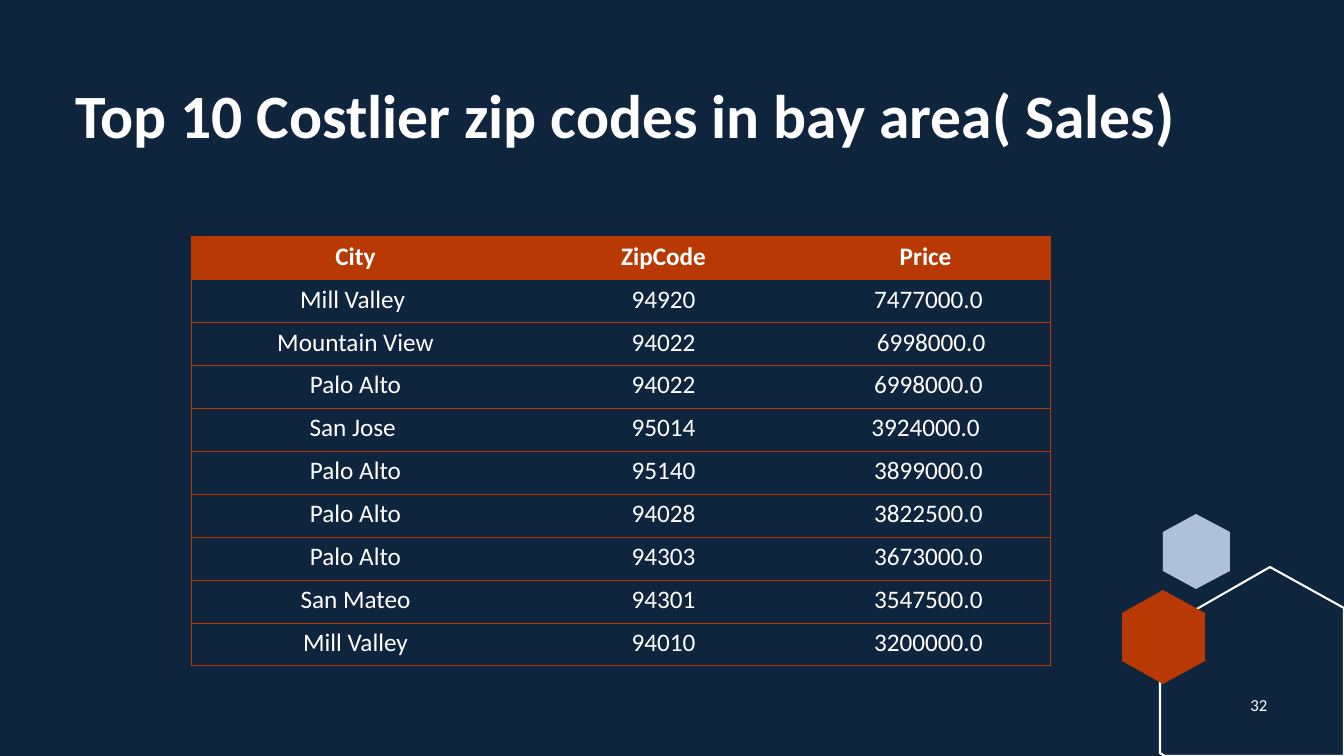
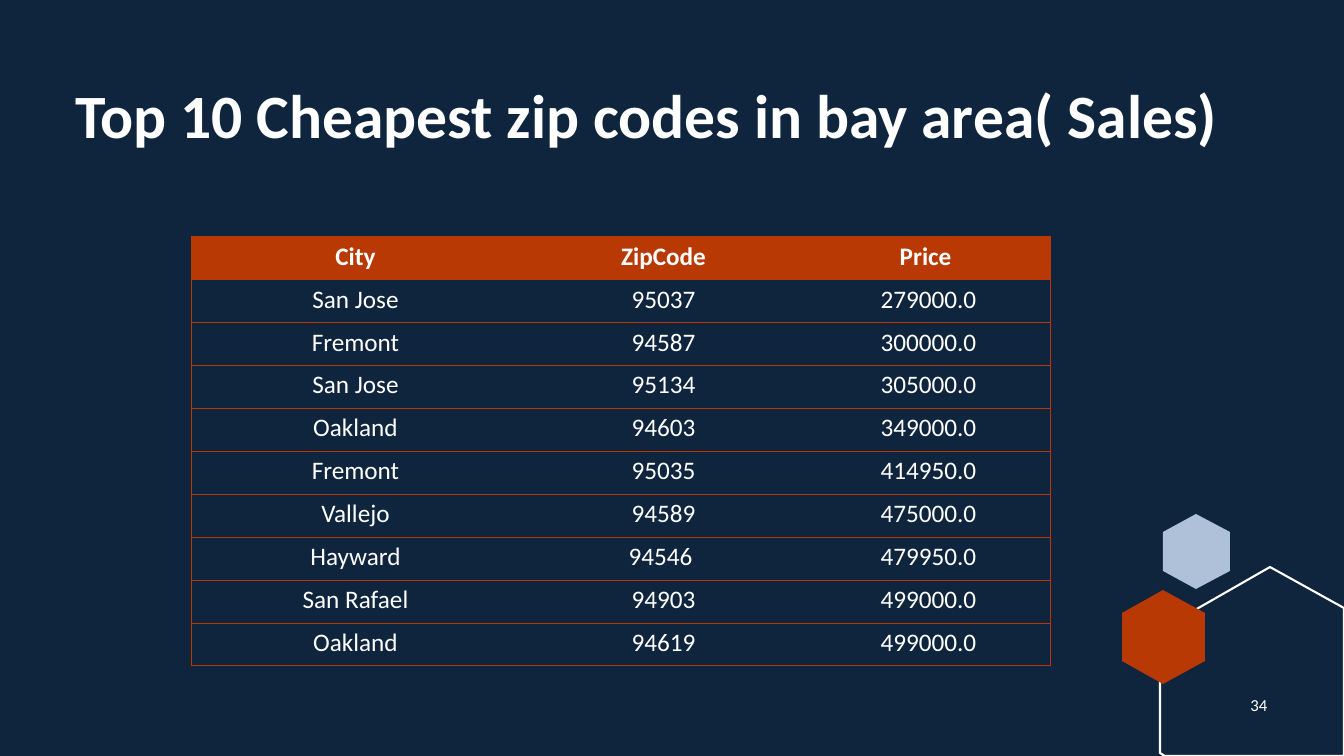
"""Build two slides that rank bay area zip codes by sale price."""
from collections import namedtuple

from lxml.etree import SubElement
from pptx import Presentation
from pptx.dml.color import RGBColor
from pptx.enum.text import MSO_ANCHOR as Anchor, MSO_AUTO_SIZE as AutoSize, PP_ALIGN as Align
from pptx.oxml.ns import qn
from pptx.util import Emu, Pt

Box = namedtuple("Box", "left top width height")

EMU_PER_PX = 12192000 / 1344
FONT = "Calibri"
COLORS = {"navy": "0F253E", "rust": "B83903", "mist": "AEC1D8", "white": "FFFFFF"}

SLIDE = Box(0, 0, 1344, 756)
TITLE = Box(65, 80, 1200, 156)
RANKING = Box(191, 236, 859, 430)
HEXAGONS = Box(1122, 514, 222, 242)
NUMBER = Box(1234, 685, 50, 40)

COLUMN_WIDTHS = (329, 287, 243)
HEADER = ("City", "ZipCode", "Price ")

COSTLIEST = (
    ("Mill Valley ", "94920", "7477000.0"),
    ("Mountain View", "94022", " 6998000.0"),
    ("Palo Alto", "94022", "6998000.0"),
    ("San Jose ", "95014", "3924000.0 "),
    ("Palo Alto", "95140", "3899000.0"),
    ("Palo Alto", "94028", "3822500.0"),
    ("Palo Alto", "94303", "3673000.0"),
    ("San Mateo", "94301", "3547500.0"),
    ("Mill Valley", "94010", "3200000.0"),
)
CHEAPEST = (
    ("San Jose", "95037", "279000.0"),
    ("Fremont", "94587", "300000.0"),
    ("San Jose", "95134", "305000.0"),
    ("Oakland", "94603", "349000.0"),
    ("Fremont", "95035", "414950.0"),
    ("Vallejo", "94589", "475000.0"),
    ("Hayward", "94546 ", "479950.0"),
    ("San Rafael", "94903", "499000.0"),
    ("Oakland", "94619", "499000.0"),
)
PAGES = (
    ("Top 10 Costlier zip codes in bay area( Sales)", COSTLIEST, "32"),
    ("Top 10 Cheapest zip codes in bay area( Sales)", CHEAPEST, "34"),
)


def px(length):
    """Turn pixels into EMU."""
    return Emu(round(length * EMU_PER_PX))


def emu_box(box):
    """Turn a pixel box into EMU lengths."""
    return [px(length) for length in box]


def color(name):
    """Look up a palette colour."""
    return RGBColor.from_string(COLORS[name])


def write(frame, text, size, bold=False, align=Align.LEFT):
    """Put one white run into the first paragraph of a text frame."""
    paragraph = frame.paragraphs[0]
    paragraph.alignment = align
    run = paragraph.add_run()
    run.text = text
    run.font.name = FONT
    run.font.size = Pt(size)
    run.font.bold = bold
    run.font.color.rgb = color("white")
    return paragraph


def add_title(slide, box, text):
    """Place and format the title placeholder."""
    title = slide.shapes.title
    title.left, title.top, title.width, title.height = emu_box(box)
    frame = title.text_frame
    frame.word_wrap = True
    frame.auto_size = AutoSize.NONE
    frame.vertical_anchor = Anchor.TOP
    write(frame, text, 44, bold=True).line_spacing = 0.9


def add_outline(slide, left, top, corners, fill=None):
    """Draw a closed outline, filled or with a white line."""
    builder = slide.shapes.build_freeform(*corners[0], scale=EMU_PER_PX)
    builder.add_line_segments(corners[1:], close=True)
    outline = builder.convert_to_shape(px(left), px(top))
    outline.shadow.inherit = False
    if fill:
        outline.fill.solid()
        outline.fill.fore_color.rgb = color(fill)
        outline.line.fill.background()
    else:
        outline.fill.background()
        outline.line.color.rgb = color("white")
        outline.line.width = Pt(1.5)


def hexagon(width, height):
    """Return the corners of an upright hexagon."""
    middle, upper, lower = width // 2, height // 4, height - height // 4
    return [(middle, 0), (width, upper), (width, lower),
            (middle, height), (0, lower), (0, upper)]


def add_hexagons(slide, box):
    """Draw the corner cluster of three hexagons."""
    cropped = [(110, 0), (184, 41), (184, 189), (5, 189), (0, 186), (0, 63)]
    add_outline(slide, box.left + 41, box.top, hexagon(67, 75), "mist")
    add_outline(slide, box.left + 38, box.top + 53, cropped)
    add_outline(slide, box.left, box.top + 76, hexagon(83, 94), "rust")


def set_borders(cell, visible):
    """Rule the named sides of a cell and clear the others."""
    properties = cell._tc.get_or_add_tcPr()
    for position, side in enumerate("LRTB"):
        line = SubElement(properties, qn(f"a:ln{side}"), w=str(Pt(0.5)))
        properties.insert(position, line)
        if side in visible:
            solid = SubElement(line, qn("a:solidFill"))
            SubElement(solid, qn("a:srgbClr"), val=COLORS["rust"])
        else:
            SubElement(line, qn("a:noFill"))


def add_ranking(slide, box, records):
    """Build the ruled table of cities, zip codes and prices."""
    rows = (HEADER, *records)
    last = len(HEADER) - 1
    table = slide.shapes.add_table(len(rows), len(HEADER), *emu_box(box)).table
    for column, width in zip(table.columns, COLUMN_WIDTHS):
        column.width = px(width)
    for row_index, values in enumerate(rows):
        table.rows[row_index].height = px(box.height / len(rows))
        is_header = row_index == 0
        for column_index, value in enumerate(values):
            cell = table.cell(row_index, column_index)
            if is_header:
                cell.fill.solid()
                cell.fill.fore_color.rgb = color("rust")
            else:
                cell.fill.background()
            sides = "TB" + "L" * (column_index == 0) + "R" * (column_index == last)
            set_borders(cell, sides)
            write(cell.text_frame, value, 18, is_header, Align.CENTER)


def add_number(slide, box, number):
    """Write the page number."""
    frame = slide.shapes.add_textbox(*emu_box(box)).text_frame
    frame.word_wrap = True
    frame.vertical_anchor = Anchor.MIDDLE
    write(frame, number, 12, align=Align.CENTER)


def add_ranking_slide(deck, title, records, number):
    """Add one slide with a title, a ranking table and the shared corner."""
    slide = deck.slides.add_slide(deck.slide_layouts.get_by_name("Title Only"))
    add_hexagons(slide, HEXAGONS)
    add_title(slide, TITLE, title)
    add_ranking(slide, RANKING, records)
    add_number(slide, NUMBER, number)


def main():
    """Build and save the deck."""
    deck = Presentation()
    deck.slide_width, deck.slide_height = px(SLIDE.width), px(SLIDE.height)
    backdrop = deck.slide_master.background.fill
    backdrop.solid()
    backdrop.fore_color.rgb = color("navy")
    for page in PAGES:
        add_ranking_slide(deck, *page)
    deck.save("out.pptx")


if __name__ == "__main__":
    main()
